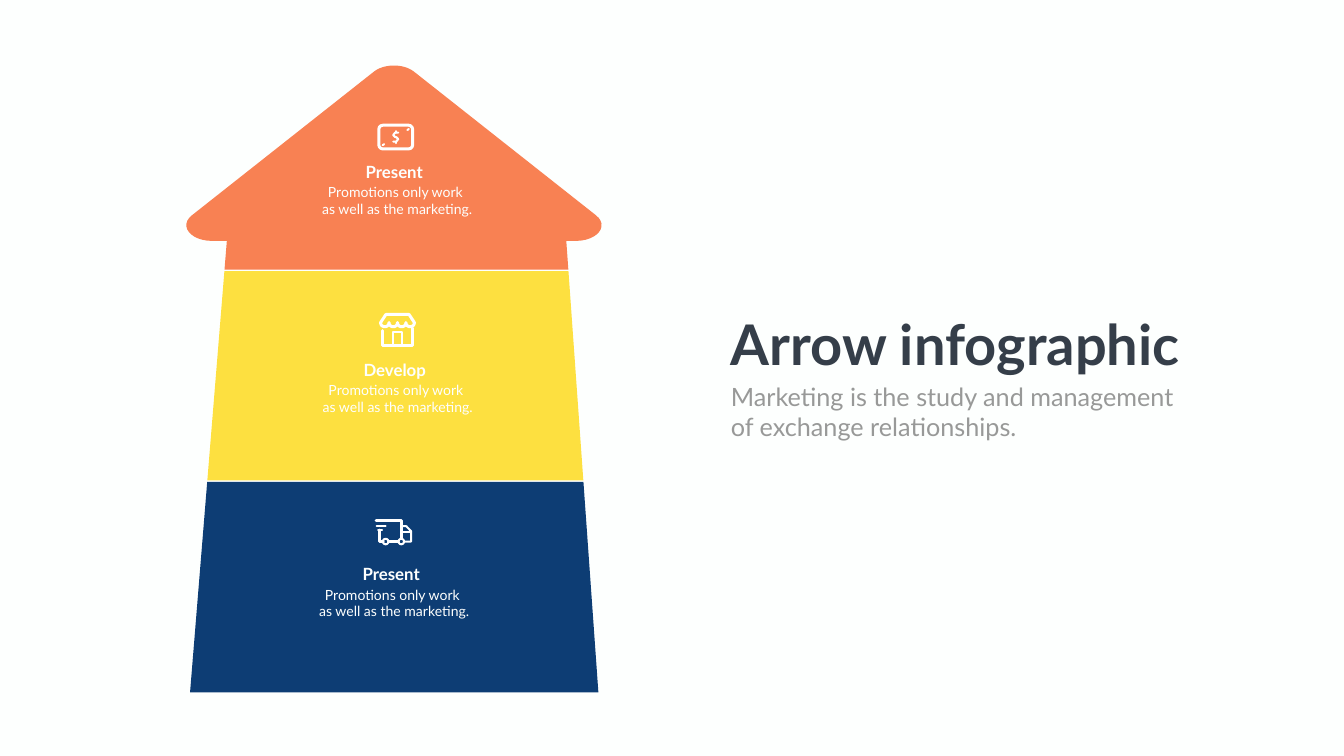
"""Build a slide with a three-part arrow, an icon and a caption in each part, and a title."""
from lxml import etree
from pptx import Presentation
from pptx.dml.color import RGBColor
from pptx.enum.shapes import MSO_CONNECTOR, MSO_SHAPE
from pptx.enum.text import MSO_AUTO_SIZE, PP_ALIGN
from pptx.oxml.ns import qn
from pptx.util import Inches, Pt

ROUND, OVAL = MSO_SHAPE.ROUNDED_RECTANGLE, MSO_SHAPE.OVAL
STRAIGHT = MSO_CONNECTOR.STRAIGHT
LEFT, MID = PP_ALIGN.LEFT, PP_ALIGN.CENTER
GROW = MSO_AUTO_SIZE.SHAPE_TO_FIT_TEXT

THEME = {
    "paper": RGBColor.from_string("FDFFFE"),
    "icon": RGBColor.from_string("FFFFFF"),
    "navy": RGBColor.from_string("0D3D74"),
    "yellow": RGBColor.from_string("FDE040"),
    "coral": RGBColor.from_string("F88153"),
    "ink": RGBColor.from_string("353E49"),
    "gray": RGBColor.from_string("989998"),
    "bold": Inches(0.06), "thin": Inches(0.04),
    "title": {"name": "Lato", "size": Pt(80), "bold": True},
    "lead": {"name": "Lato", "size": Pt(36), "bold": False},
    "head": {"name": "Lato", "size": Pt(24), "bold": True},
    "body": {"name": "Lato", "size": Pt(20), "bold": False},
}

deck = Presentation()
deck.slide_width, deck.slide_height = Inches(26.66), Inches(15)
slide = deck.slides.add_slide(deck.slide_layouts[6])
slide.background.fill.solid()
slide.background.fill.fore_color.rgb = THEME["paper"]


def bend(start, pull, push, end, steps=12):
    """Return points along a cubic curve with two control points."""
    curve = []
    for step in range(steps + 1):
        t = step / steps
        mix = ((1 - t) ** 3, 3 * t * (1 - t) ** 2, 3 * t * t * (1 - t), t ** 3)
        knots = (start, pull, push, end)
        curve.append(tuple(sum(m * knot[axis] for m, knot in zip(mix, knots)) for axis in (0, 1)))
    return curve


def path(points, close):
    """Build a freeform through points given in inches."""
    dots = [(Inches(x), Inches(y)) for x, y in points]
    pen = slide.shapes.build_freeform(*dots[0], scale=1.0)
    pen.add_line_segments(dots[1:], close=close)
    shape = pen.convert_to_shape()
    shape.shadow.inherit = False
    return shape


base, eaves, axle = 13.74, 4.78, 7.815
edges = {y: (3.77 + 0.0815 * (base - y), 11.87 - 0.071 * (base - y))
         for y in (base, 9.56, 9.53, 5.38, 5.35, eaves)}
bands = []
for color, low, top in (("navy", base, 9.56), ("yellow", 9.53, 5.38)):
    bands.append((color, [(edges[low][0], low), (edges[low][1], low),
                          (edges[top][1], top), (edges[top][0], top)]))

wing = bend((11.42, eaves), (11.85, eaves), (12.09, 4.48), (11.82, 4.27))
tip = bend((8.21, 1.42), (8.01, 1.26), (7.62, 1.26), (7.42, 1.42))
mirror = [(2 * axle - x, y) for x, y in reversed(wing)]
neck = [(edges[eaves][0], eaves), (edges[5.35][0], 5.35),
        (edges[5.35][1], 5.35), (edges[eaves][1], eaves)]
bands.append(("coral", wing + tip + mirror + neck))

for color, points in bands:
    band = path(points, True)
    band.fill.solid()
    band.fill.fore_color.rgb = THEME[color]
    band.line.fill.background()

note, shop, truck = (7.85, 2.72), (7.885, 6.54), (7.8, 10.56)

curl = [(0.05, -0.09), (-0.01, -0.09), (-0.05, -0.04), (-0.01, 0)]
stem = [(0, -0.12), (0, -0.09)]
tick = [(0.23, -0.14), (0.26, -0.16)]
turn = {name: [(-x, -y) for x, y in half]
        for name, half in (("curl", curl), ("stem", stem), ("tick", tick))}
strokes = [(note, "thin", curl + turn["curl"][::-1], False)]
for half, name in ((stem, "stem"), (tick, "tick")):
    strokes += [(note, "thin", half, False), (note, "thin", turn[name], False)]

door = [(-0.09, 0.04), (0.09, 0.04), (0.09, 0.3), (-0.09, 0.3)]
walls = [(-0.29, 0.02), (-0.29, 0.31), (0.29, 0.31), (0.29, -0.03)]
awning = [(-0.335, -0.14), (-0.23, -0.3), (0.23, -0.3)]
span = 0.67 / 4
for i in range(4):
    right = 0.335 - i * span
    left = right - span
    awning += bend((right, -0.14), (right, -0.03), (left, -0.03), (left, -0.14))
strokes += [(shop, "thin", door, True), (shop, "bold", walls, False), (shop, "bold", awning, True)]

floor, cab = 0.185, 0.355
cargo = [(-0.34, -0.23), (0.155, -0.23), (0.155, 0.12)]
rear = [(-0.27, -0.04), (-0.27, floor), (-0.2, floor)]
chassis = [(-0.09, floor), (0.1, floor)]
hood = [(0.18, -0.12), (0.26, -0.12), (cab, -0.02), (cab, floor), (0.22, floor)]
sill = [(0.18, 0), (cab, 0)]
winds = [[(-0.33, -0.12), (-0.15, -0.12)], [(-0.3, -0.04), (-0.22, -0.04)]]
strokes += [(truck, "bold", line, False) for line in (cargo, rear, chassis)]
strokes += [(truck, "thin", line, False) for line in (hood, sill, *winds)]

marks = []
for (x, y), weight, line, close in strokes:
    points = [(x + dx, y + dy) for dx, dy in line]
    if len(points) == 2:
        ends = [Inches(n) for point in points for n in point]
        mark = slide.shapes.add_connector(STRAIGHT, *ends)
    else:
        mark = path(points, close)
        mark.fill.background()
    marks.append((mark, weight))

rims = [(ROUND, note, 0, 0, 0.67, 0.47, "bold")]
rims += [(OVAL, truck, dx, floor, 0.11, 0.11, "thin") for dx in (-0.15, 0.16)]
for kind, (x, y), dx, dy, width, height, weight in rims:
    box = (x + dx - width / 2, y + dy - height / 2, width, height)
    rim = slide.shapes.add_shape(kind, *map(Inches, box))
    rim.shadow.inherit = False
    rim.fill.background()
    marks.append((rim, weight))

for mark, weight in marks:
    mark.line.color.rgb = THEME["icon"]
    mark.line.width = THEME[weight]
    props = mark.element.spPr
    outline = props.find(qn("a:ln"))
    outline.set("cap", "rnd")
    etree.SubElement(outline, qn("a:round"))
    if props.find(qn("a:effectLst")) is None:
        etree.SubElement(props, qn("a:effectLst"))

texts = [
    ((14.4, 6.09, 9.34, 1.45), ["Arrow infographic"], "title", "ink", LEFT, False),
    ((14.4, 7.51, 9.74, 1.31), ["Marketing is the study and management",
                                "of exchange relationships."], "lead", "gray", LEFT, True),
]
motto = ["Promotions only work ", "as well as the marketing."]
for x, y, head in ((6.28, 3.16, "Present"), (6.29, 7.09, "Develop"), (6.22, 11.14, "Present")):
    texts.append(((x + 0.64, y, 1.8, 0.5), [head], "head", "paper", MID, True))
    texts.append(((x, y + 0.44, 3.2, 0.77), motto, "body", "paper", MID, True))

for box, lines, style, color, align, wrap in texts:
    frame = slide.shapes.add_textbox(*map(Inches, box)).text_frame
    frame.word_wrap = wrap
    frame.auto_size = GROW
    for i, line in enumerate(lines):
        para = frame.add_paragraph() if i else frame.paragraphs[0]
        para.alignment = align
        run = para.add_run()
        run.text = line
        for key, value in THEME[style].items():
            setattr(run.font, key, value)
        run.font.color.rgb = THEME[color]

deck.save("out.pptx")
